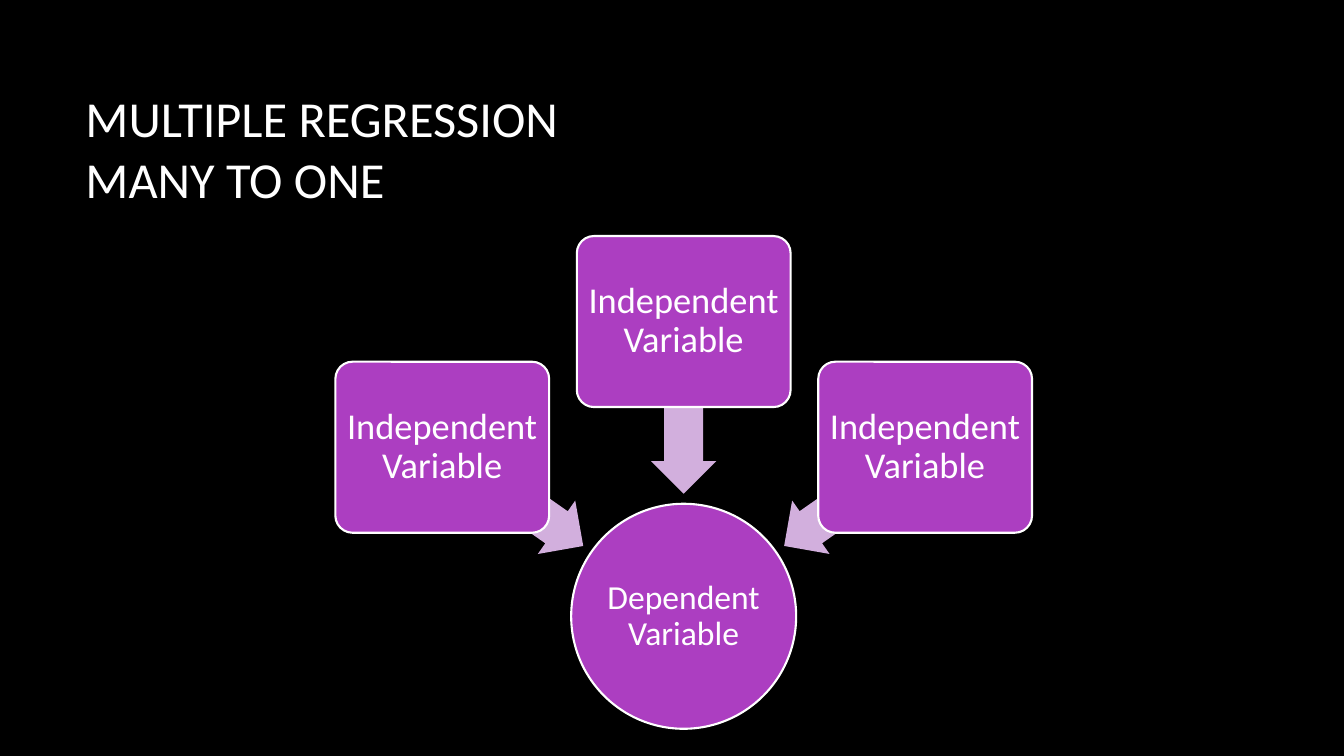
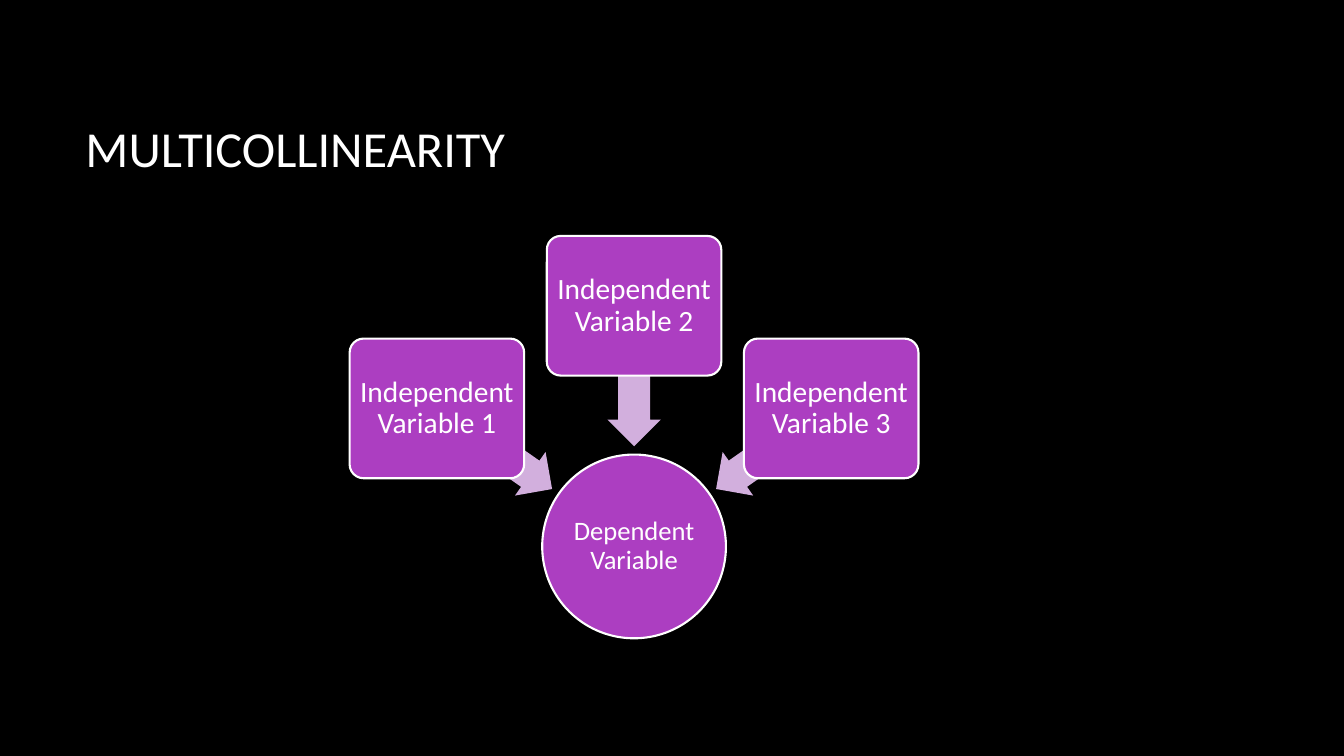
from dataclasses import dataclass
from math import cos, radians, sin

from pptx import Presentation
from pptx.dml.color import RGBColor as RGB
from pptx.enum.shapes import MSO_SHAPE as SHAPE
from pptx.enum.text import MSO_ANCHOR as ANCHOR, MSO_AUTO_SIZE as AUTO, PP_ALIGN as ALIGN
from pptx.util import Cm, Pt


@dataclass(frozen=True)
class Theme:
    font: str = "Calibri"
    back: RGB = RGB(0x00, 0x00, 0x00)
    text: RGB = RGB(0xFF, 0xFF, 0xFF)
    node: RGB = RGB(0xAC, 0x3E, 0xC1)
    arrow: RGB = RGB(0xD2, 0xAF, 0xDD)
    outline: float = 1.5
    title_size: int = 36


THEME = Theme()


def write(tf, text, size, align=ALIGN.CENTER, inset=None, spacing=None):
    """Fill a text frame; each newline becomes a line break."""
    tf.word_wrap = True
    tf.auto_size = AUTO.NONE
    tf.vertical_anchor = ANCHOR.MIDDLE
    if inset is not None:
        tf.margin_left = tf.margin_right = tf.margin_top = tf.margin_bottom = Cm(inset)
    p = tf.paragraphs[0]
    p.alignment = align
    if spacing:
        p.line_spacing = spacing
    for i, line in enumerate(text.split("\n")):
        if i:
            p.add_line_break()
        r = p.add_run()
        r.text = line
        r.font.name = THEME.font
        r.font.size = Pt(size)
        r.font.color.rgb = THEME.text


class Deck:
    def __init__(self):
        self.prs = Presentation()
        self.prs.slide_width, self.prs.slide_height = Cm(33.87), Cm(19.05)
        fill = self.prs.slide_master.background.fill
        fill.solid()
        fill.fore_color.rgb = THEME.back
        self.s = None

    def slide(self, title):
        self.s = self.prs.slides.add_slide(self.prs.slide_layouts[5])
        sp = self.s.shapes.title
        sp.left, sp.top, sp.width, sp.height = Cm(1.9), Cm(1.7), Cm(28.15), Cm(4.04)
        write(sp.text_frame, title, THEME.title_size, align=ALIGN.LEFT)

    def shape(self, group, kind, cx, cy, w, h, color):
        """Add a filled shape centred on (cx, cy)."""
        sp = group.shapes.add_shape(kind, Cm(cx - w / 2), Cm(cy - h / 2), Cm(w), Cm(h))
        sp.shadow.inherit = False
        sp.fill.solid()
        sp.fill.fore_color.rgb = color
        sp.line.fill.background()
        return sp

    def node(self, group, kind, cx, cy, w, h, text, size, inset):
        sp = self.shape(group, kind, cx, cy, w, h, THEME.node)
        sp.line.color.rgb = THEME.text
        sp.line.width = Pt(THEME.outline)
        write(sp.text_frame, text, size, inset=inset, spacing=0.9)
        return sp

    def arrow(self, group, cx, cy, length, height, angle):
        sp = self.shape(group, SHAPE.LEFT_ARROW, cx, cy, length, height, THEME.arrow)
        sp.adjustments[0], sp.adjustments[1] = 0.6, 0.5
        sp.rotation = angle

    def radial(self, cx, cy, d, hub, hub_size, causes, cause_size):
        """Draw boxes on an arc pointing to a hub; all sizes follow its diameter d."""
        group = self.s.shapes.add_group_shape()
        self.node(group, SHAPE.OVAL, cx, cy, d, d, hub, hub_size, 0.01 * d)
        for i, cause in enumerate(causes):
            angle = 215 + 55 * i
            dx, dy = d * cos(radians(angle)), d * sin(radians(angle))
            self.arrow(group, cx + 0.93 * dx, cy + 0.93 * dy, 0.77 * d, 0.29 * d, angle)
            box = self.node(group, SHAPE.ROUNDED_RECTANGLE, cx + 1.31 * dx, cy + 1.31 * dy,
                            0.95 * d, 0.76 * d, cause, cause_size, 0.02 * d)
            box.adjustments[0] = 0.1


def main():
    deck = Deck()

    # Many independent variables, one dependent variable
    deck.slide("MULTIPLE REGRESSION\nMANY TO ONE")
    deck.radial(17.23, 15.53, 5.67, "Dependent Variable", 24,
                ["Independent Variable"] * 3, 26)

    # Numbered independent variables
    deck.slide("MULTICOLLINEARITY")
    deck.radial(15.98, 13.77, 4.63, "Dependent Variable", 19,
                [f"Independent Variable {n}" for n in (1, 2, 3)], 21)

    deck.prs.save("out.pptx")


if __name__ == "__main__":
    main()
